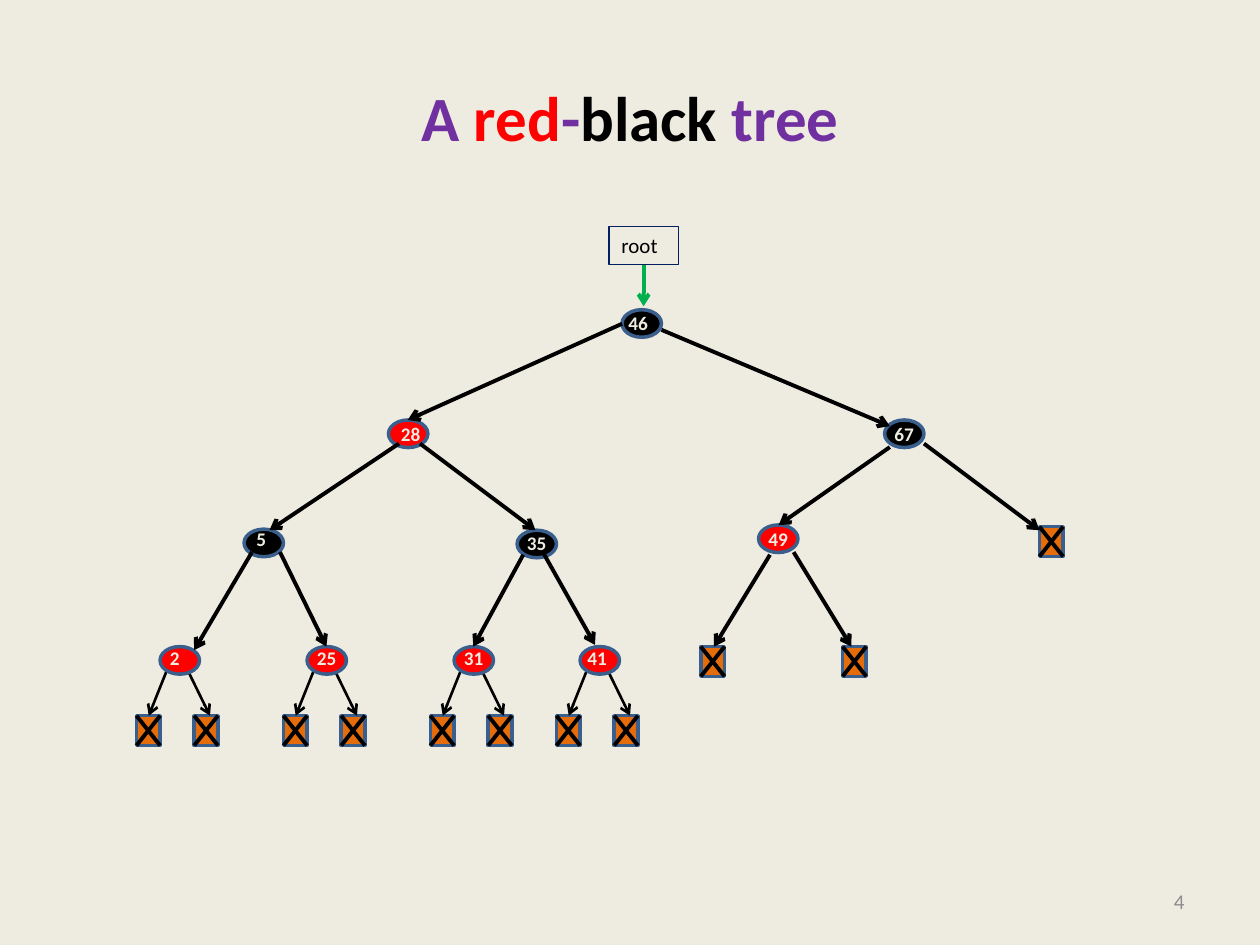
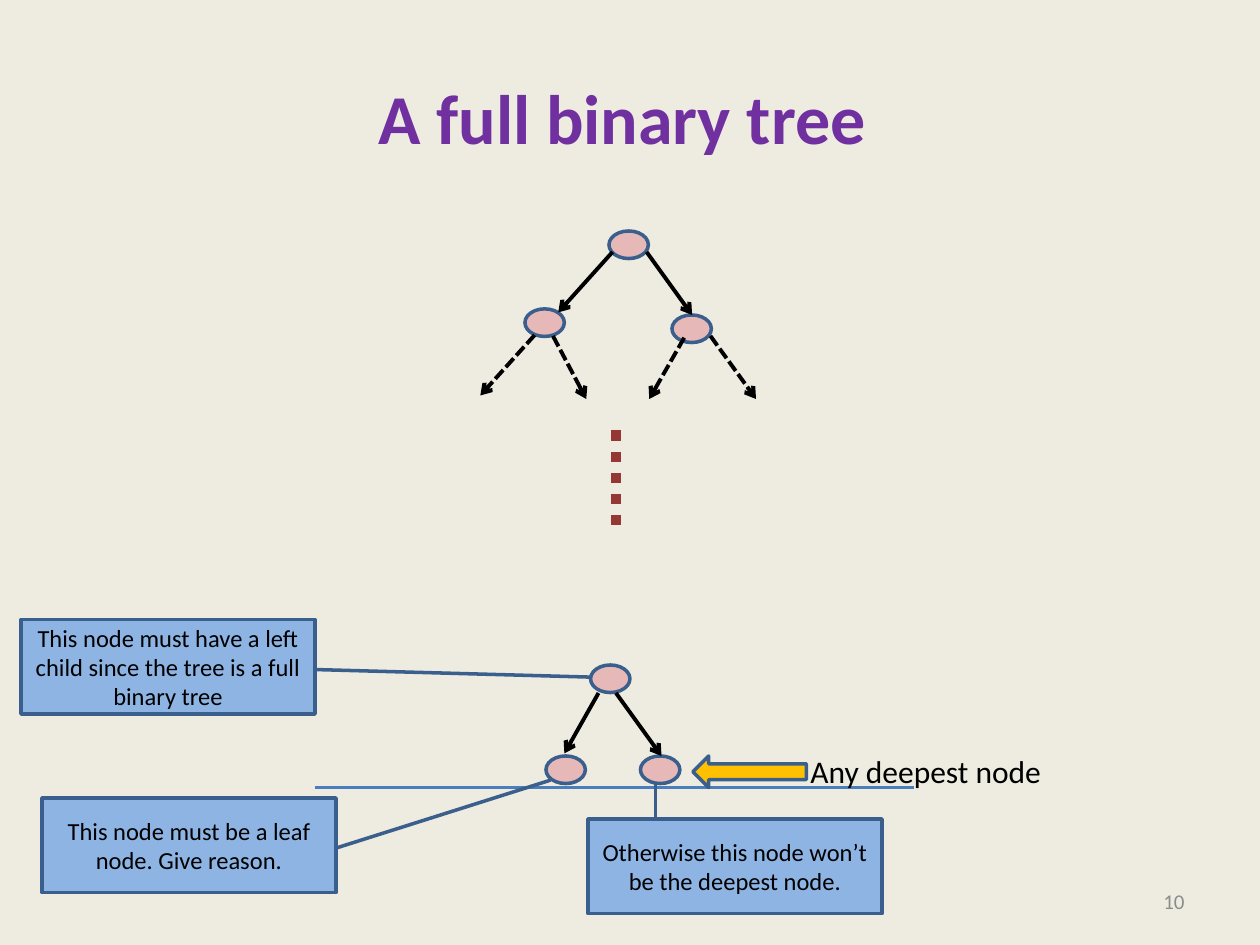
import pptx
import pptx.dml.color
import pptx.enum.dml
import pptx.enum.shapes
import pptx.enum.text
import pptx.oxml.ns
import pptx.util
from lxml import etree

Pt = pptx.util.Pt
SHAPE = pptx.enum.shapes.MSO_SHAPE
DASH = pptx.enum.dml.MSO_LINE
ALIGN = pptx.enum.text.PP_ALIGN
ANCHOR = pptx.enum.text.MSO_ANCHOR
FIT = pptx.enum.text.MSO_AUTO_SIZE

FONT = "Calibri"
CREAM, BLACK, RED, PURPLE = "EEECE1", "000000", "FF0000", "7030A0"
OUTLINE, ORANGE, GREEN, NAVY = "3A5F8C", "E46C0A", "00B050", "002060"
PINK, SKY, GOLD, BLUE, MAROON, GREY = "E6B9B8", "8EB4E3", "FFC000", "4B7EBC", "953735", "8C8C8C"

NODE_SIZE = (22.5, 15.75)
LEAF_SIZE = (13.5, 17)

# Red-black tree: key, colour, node left and top, label left and top
KEYED_NODES = [
    ("46", BLACK, (355.5, 177), (352, 174.2)),
    ("28", RED, (222, 240), (222, 237.5)),
    ("67", BLACK, (505.5, 240), (504, 237.5)),
    ("5", BLACK, (139.5, 302.4), (139.5, 297.5)),
    ("35", BLACK, (295.5, 303), (294, 300)),
    ("49", RED, (433.5, 300), (432, 297.5)),
    ("2", RED, (91.5, 369.5), (90, 366)),
    ("25", RED, (175.5, 369.5), (174, 366)),
    ("31", RED, (259.5, 369.5), (258, 366)),
    ("41", RED, (331.5, 369.5), (328.5, 366)),
]
KEYED_EDGES = [
    ((355.5, 185), (233, 240)), ((378, 188.5), (508.5, 243.5)),
    ((228, 253.5), (154, 303)), ((240, 253.5), (306, 303)),
    ((508.5, 255.5), (445, 300)), ((528, 253.5), (594, 303)),
    ((144, 315.5), (111, 371.5)), ((160, 315.5), (186.5, 369.5)),
    ((299, 317), (270.5, 369.5)), ((310.5, 316), (340, 368.5)),
    ((440, 317), (408, 369.5)), ((453.5, 315.5), (486.5, 369.5)),
]
UPPER_LEAVES = [(400.5, 369.5), (481.5, 369.5), (594, 301)]
LEAF_PARENTS = ("2", "25", "31", "41")
# Offsets from the parent's left: leaf, arrow start, arrow end
LEAF_OFFSETS = [(-13.5, 4.5, -6.5), (19.5, 15, 28.5)]
LEAF_TOP, LEAF_ARROW_TOP = 409, 381.5

# Full binary tree
PLAIN_NODES = [(348, 132), (300, 176.5), (384, 180), (337.5, 380), (312, 432), (366, 432)]
SOLID_EDGES = [
    ((350, 144), (319, 178.5)), ((369.5, 144), (395.5, 180)),
    ((342, 396), (322.5, 430.5)), ((352, 396), (378, 432)),
]
DASHED_EDGES = [
    ((305.5, 191.5), (274.5, 226)), ((316, 192), (335, 228)),
    ((391, 193), (371, 228)), ((406, 192), (432, 228)),
]
# Text, left and top, pointer as y1, x1, y2, x2 in shares of the box
CALLOUTS = [
    ("This node must have a left child since the tree is a full binary tree",
     (12, 354), (0.53, 1, 0.61, 1.94)),
    ("This node must be a leaf node. Give reason.",
     (24, 456), (0.53, 1, -0.19, 1.73)),
    ("Otherwise this node won’t be the deepest node.",
     (336, 468), (0.02, 0.23, -0.38, 0.23)),
]


def rgb(value):
    return pptx.dml.color.RGBColor.from_string(value)


def write(shape, text, size=12, colour=BLACK, bold=False, align=ALIGN.LEFT,
          anchor=ANCHOR.TOP, wrap=True, fit=FIT.NONE):
    """Fill a shape with text, given as a string or as (string, colour) pairs."""
    frame = shape.text_frame
    frame.word_wrap = wrap
    frame.auto_size = fit
    frame.vertical_anchor = anchor
    para = frame.paragraphs[0]
    para.alignment = align
    for words, tint in [(text, colour)] if isinstance(text, str) else text:
        span = para.add_run()
        span.text = words
        span.font.name = FONT
        span.font.size = Pt(size)
        span.font.bold = bold
        span.font.color.rgb = rgb(tint)


def add_text(shapes, place, extent, text, **style):
    write(shapes.add_textbox(*map(Pt, place + extent)), text, **style)


def add_box(shapes, kind, place, extent, fill=None, line=OUTLINE, width=2):
    box = shapes.add_shape(kind, *map(Pt, place + extent))
    box.shadow.inherit = False
    if fill:
        box.fill.solid()
        box.fill.fore_color.rgb = rgb(fill)
    else:
        box.fill.background()
    box.line.color.rgb = rgb(line)
    box.line.width = Pt(width)
    return box


def add_line(shapes, start, end, colour=BLACK, width=2.25, dash=None, arrow=False):
    line = shapes.add_connector(pptx.enum.shapes.MSO_CONNECTOR.STRAIGHT,
                                *map(Pt, start + end))
    line.line.color.rgb = rgb(colour)
    line.line.width = Pt(width)
    if dash:
        line.line.dash_style = dash
    qn = pptx.oxml.ns.qn
    properties = line._element.spPr
    if arrow:
        etree.SubElement(properties.find(qn("a:ln")), qn("a:tailEnd"), type="arrow")
    etree.SubElement(properties, qn("a:effectLst"))
    return line


def add_leaf(shapes, left, top):
    """Draw an empty leaf: an orange square crossed out."""
    group = shapes.add_group_shape().shapes
    right, bottom = left + LEAF_SIZE[0], top + LEAF_SIZE[1]
    add_box(group, SHAPE.RECTANGLE, (left, top), LEAF_SIZE, ORANGE)
    add_line(group, (right, top), (left, bottom))
    add_line(group, (left, top), (right, bottom))


def add_page(deck, title, title_size, number):
    """Add a slide with title and number, and return its shapes."""
    page = deck.slides.add_slide(deck.slide_layouts[5])
    heading = page.shapes.title
    heading.left, heading.top, heading.width, heading.height = map(Pt, (36, 21.6, 648, 90))
    write(heading, title, size=title_size, colour=PURPLE, bold=True,
          align=ALIGN.CENTER, anchor=ANCHOR.MIDDLE)
    add_text(page.shapes, (516, 500.5), (168, 28.8), number, colour=GREY,
             align=ALIGN.RIGHT, anchor=ANCHOR.MIDDLE)
    return page.shapes


def build_red_black_tree(deck):
    title = [("A ", PURPLE), ("red", RED), ("-", PURPLE), ("black", BLACK), (" tree", PURPLE)]
    shapes = add_page(deck, title, 36, "4")

    for place in UPPER_LEAVES:
        add_leaf(shapes, *place)
    for key, _, (left, _), _ in KEYED_NODES:
        if key in LEAF_PARENTS:
            for leaf, start, end in LEAF_OFFSETS:
                add_leaf(shapes, left + leaf, LEAF_TOP)
                add_line(shapes, (left + start, LEAF_ARROW_TOP), (left + end, LEAF_TOP),
                         width=1.5, arrow=True)

    for _, colour, place, _ in KEYED_NODES:
        add_box(shapes, SHAPE.OVAL, place, NODE_SIZE, colour)
    for start, end in KEYED_EDGES:
        add_line(shapes, start, end, arrow=True)

    root = add_box(shapes, SHAPE.RECTANGLE, (348, 129.6), (39.6, 21.6), line=NAVY, width=0.75)
    write(root, "root")
    pointer = add_line(shapes, (367.8, 151.2), (367.8, 175), colour=GREEN, arrow=True)
    pointer.begin_connect(root, 2)

    for key, _, _, place in KEYED_NODES:
        add_text(shapes, place, (14 + 6 * len(key), 21), key, size=11, colour=CREAM,
                 bold=True, wrap=False, fit=FIT.SHAPE_TO_FIT_TEXT)


def build_full_binary_tree(deck):
    shapes = add_page(deck, "A full binary tree ", 40, "10")

    add_line(shapes, (180, 450), (522, 450), colour=BLUE)
    for place in PLAIN_NODES:
        add_box(shapes, SHAPE.OVAL, place, NODE_SIZE, PINK)
    for edges, dash in ((SOLID_EDGES, None), (DASHED_EDGES, DASH.SQUARE_DOT)):
        for start, end in edges:
            add_line(shapes, start, end, dash=dash, arrow=True)
    add_line(shapes, (352, 246), (352, 306), colour=MAROON, width=6, dash=DASH.ROUND_DOT)

    add_box(shapes, SHAPE.LEFT_ARROW, (396, 432), (64.8, 18), GOLD)
    add_text(shapes, (456, 426), (148, 29), "Any deepest node", size=18, wrap=False,
             fit=FIT.SHAPE_TO_FIT_TEXT)

    for text, place, pointer in CALLOUTS:
        callout = add_box(shapes, SHAPE.LINE_CALLOUT_1, place, (168, 54), SKY)
        for index, share in enumerate(pointer):
            callout.adjustments[index] = share
        write(callout, text, size=14, align=ALIGN.CENTER, anchor=ANCHOR.MIDDLE)


def main():
    deck = pptx.Presentation()
    deck.slide_width, deck.slide_height = Pt(720), Pt(540)
    background = deck.slide_master.background.fill
    background.solid()
    background.fore_color.rgb = rgb(CREAM)
    build_red_black_tree(deck)
    build_full_binary_tree(deck)
    deck.save("out.pptx")


if __name__ == "__main__":
    main()
